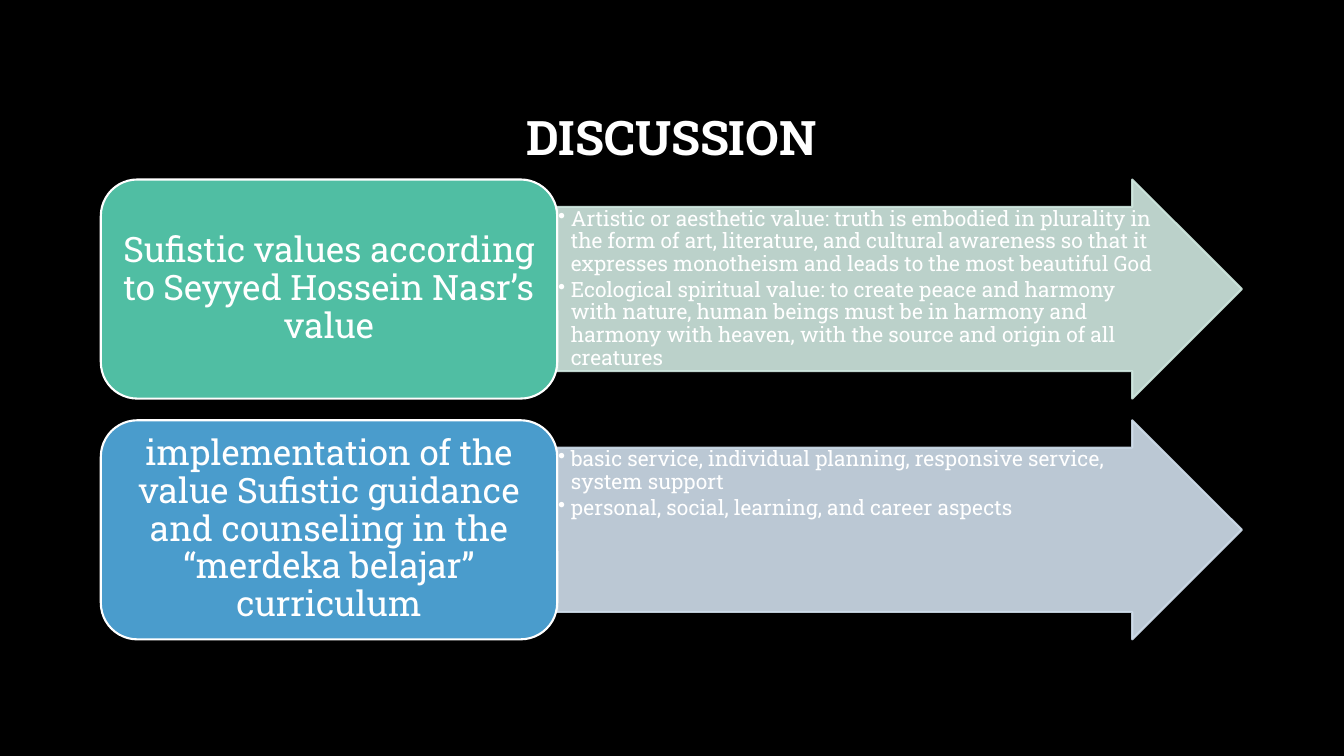
from lxml.etree import SubElement
from pptx import Presentation
from pptx.dml.color import RGBColor
from pptx.enum.shapes import MSO_SHAPE
from pptx.enum.text import MSO_ANCHOR, MSO_AUTO_SIZE, PP_ALIGN
from pptx.oxml.ns import qn
from pptx.util import Pt

BLACK = RGBColor(0x00, 0x00, 0x00)
WHITE = RGBColor(0xFF, 0xFF, 0xFF)
GREEN = RGBColor(0x50, 0xBE, 0xA3)
MINT = RGBColor(0xD0, 0xE8, 0xE0)
BLUE = RGBColor(0x4A, 0x9C, 0xCC)
PALE = RGBColor(0xD0, 0xDE, 0xEC)
FONT = "Roboto Slab"

LEFT, TOP = 72, 128.2
BOX_W, ARROW_W = 326, 489
ROW_H, PITCH = 156.5, 172

ROWS = [
    ("Sufistic values according to Seyyed Hossein Nasr’s value", GREEN, MINT, [
        "Artistic or aesthetic value: truth is embodied in plurality in the form of art, "
        "literature, and cultural awareness so that it expresses monotheism and leads to "
        "the most beautiful God",
        "Ecological spiritual value: to create peace and harmony with nature, human beings "
        "must be in harmony and harmony with heaven, with the source and origin of all "
        "creatures",
    ]),
    ("implementation of the value Sufistic guidance and counseling in the "
     "“merdeka belajar” curriculum", BLUE, PALE, [
         "basic service, individual planning, responsive service, system support",
         "personal, social, learning, and career aspects",
     ]),
]


def add_bullet(para):
    props = para._p.get_or_add_pPr()
    props.set("marL", str(Pt(9)))
    props.set("indent", str(-Pt(9)))
    SubElement(props, qn("a:buChar"), char="•")


def write(shape, lines, size, bold=False, align=PP_ALIGN.CENTER,
          anchor=MSO_ANCHOR.MIDDLE, inset=(7.2, 3.6), after=0, bullet=False):
    frame = shape.text_frame
    frame.word_wrap = True
    frame.auto_size = MSO_AUTO_SIZE.NONE
    frame.vertical_anchor = anchor
    frame.margin_left = frame.margin_right = Pt(inset[0])
    frame.margin_top = frame.margin_bottom = Pt(inset[1])
    frame.text = "\n".join(lines)
    for para in frame.paragraphs:
        para.alignment = align
        para.line_spacing = 0.9
        para.space_before = Pt(0)
        para.space_after = Pt(after)
        if bullet:
            para.level = 1
            add_bullet(para)
        font = para.runs[0].font
        font.name, font.size, font.bold = FONT, Pt(size), bold
        font.color.rgb = WHITE


def add_block(slide, kind, left, top, width, fill, line):
    shape = slide.shapes.add_shape(kind, Pt(left), Pt(top), Pt(width), Pt(ROW_H))
    shape.shadow.inherit = False
    shape.fill.solid()
    shape.fill.fore_color.rgb = fill
    shape.line.color.rgb = line
    shape.line.width = Pt(1.5)
    return shape


def fade(shape, percent):
    """Set the opacity of the fill and the line."""
    for color in shape._element.spPr.iter(qn("a:srgbClr")):
        SubElement(color, qn("a:alpha"), val=str(percent * 1000))


def add_row(slide, top, label, fill, tint, points):
    arrow = add_block(slide, MSO_SHAPE.RIGHT_ARROW, LEFT + BOX_W, top, ARROW_W, tint, tint)
    arrow.adjustments[0] = 0.75
    arrow.adjustments[1] = 0.5
    fade(arrow, 90)
    write(arrow, points, 15, align=PP_ALIGN.LEFT, anchor=MSO_ANCHOR.TOP,
          inset=(0.75, 0.75), after=2.25, bullet=True)
    box = add_block(slide, MSO_SHAPE.ROUNDED_RECTANGLE, LEFT, top, BOX_W, fill, WHITE)
    write(box, [label], 25)


def add_title(slide, text):
    title = slide.shapes.title
    title.left, title.top = Pt(LEFT), Pt(48)
    title.width, title.height = Pt(BOX_W + ARROW_W), Pt(104.4)
    write(title, [text], 34, bold=True)


def main():
    deck = Presentation()
    deck.slide_width, deck.slide_height = Pt(960), Pt(540)
    slide = deck.slides.add_slide(deck.slide_layouts[5])
    slide.background.fill.solid()
    slide.background.fill.fore_color.rgb = BLACK
    add_title(slide, "DISCUSSION")
    for index, row in enumerate(ROWS):
        add_row(slide, TOP + index * PITCH, *row)
    deck.save("out.pptx")


if __name__ == "__main__":
    main()
